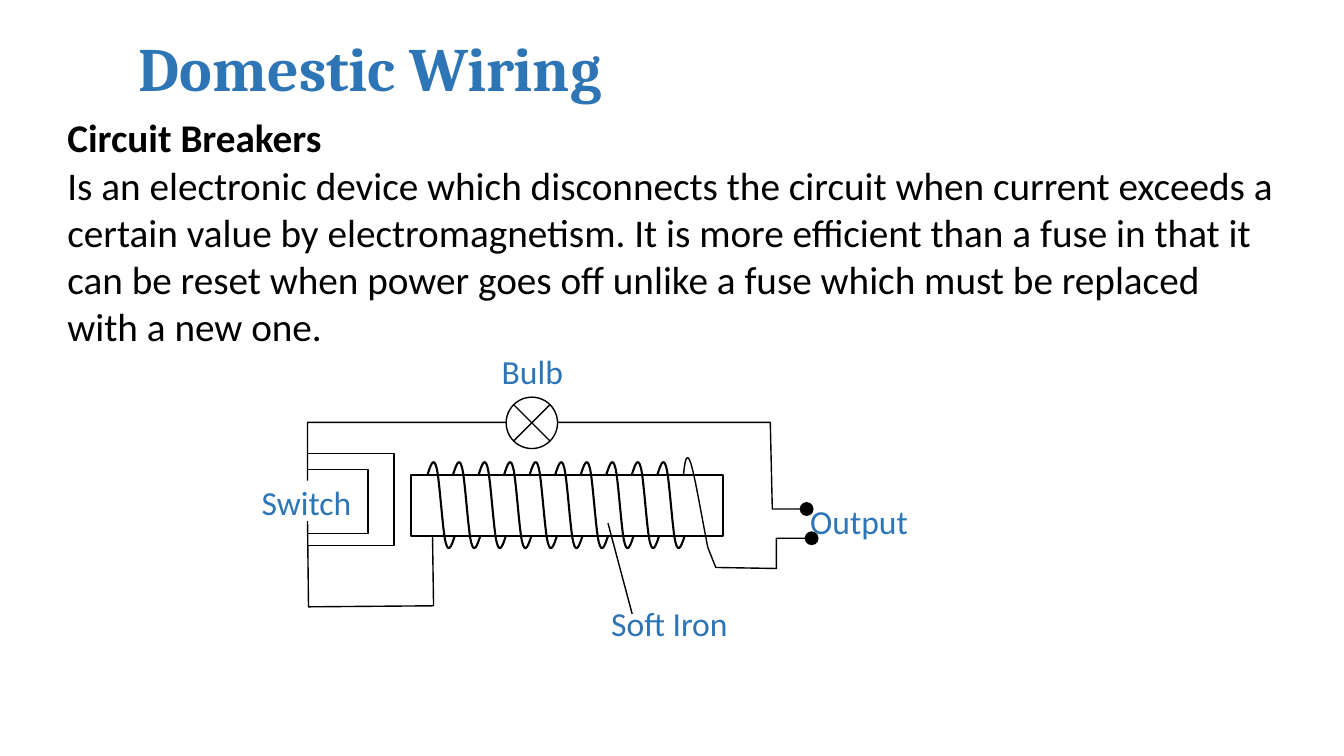
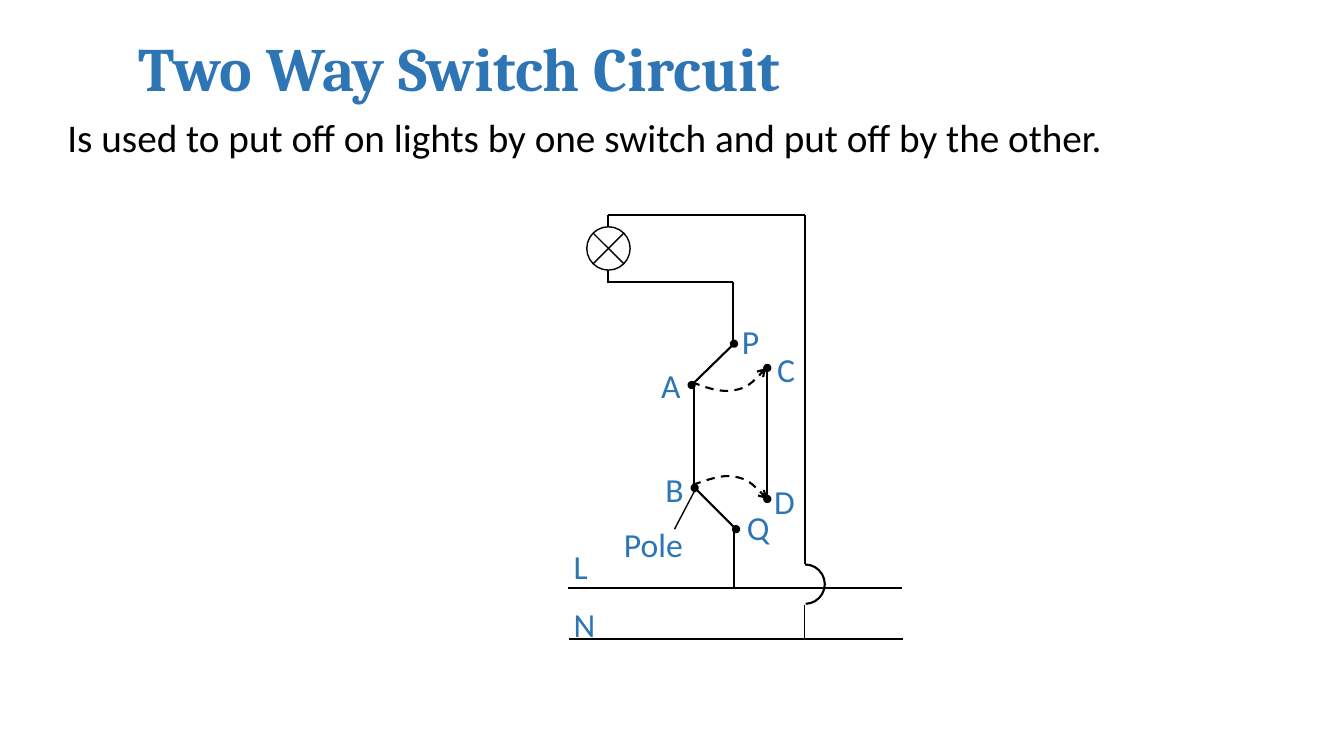
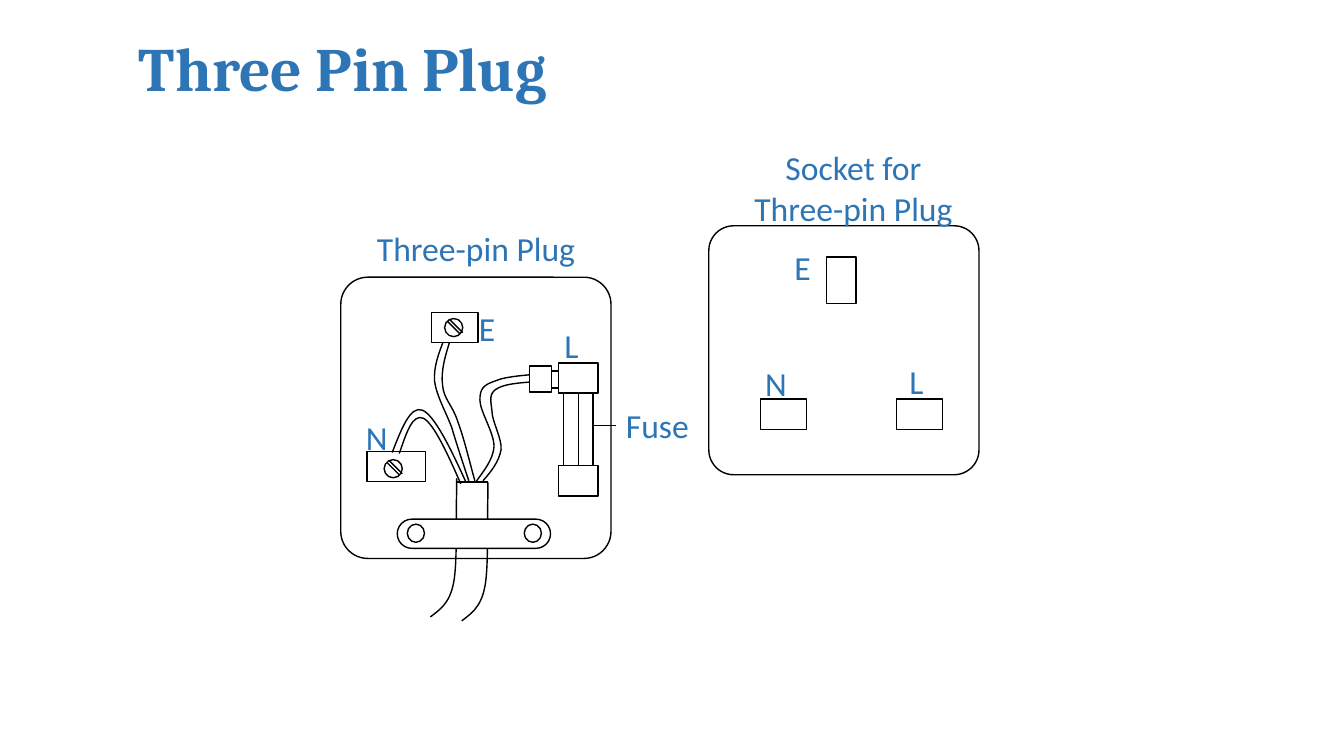
from dataclasses import dataclass
from typing import Any

from lxml.etree import SubElement
from pptx import Presentation
from pptx.dml.color import RGBColor
from pptx.enum.dml import MSO_LINE
from pptx.enum.shapes import MSO_CONNECTOR, MSO_SHAPE
from pptx.enum.text import MSO_ANCHOR, PP_ALIGN
from pptx.oxml.ns import qn
from pptx.util import Inches, Pt

BLUE = "2E75B6"
BLACK = "000000"
WHITE = "FFFFFF"
CURVE_STEPS = 24


def color(hex_text):
    return RGBColor.from_string(hex_text)


def style_line(shape, width, dash=None, head=None, tail=None, end_size="med"):
    shape.line.color.rgb = color(BLACK)
    shape.line.width = Pt(width)
    if dash:
        shape.line.dash_style = dash
    ln = shape.element.spPr.find(qn("a:ln"))
    for tag, kind in (("a:headEnd", head), ("a:tailEnd", tail)):
        if kind:
            end = SubElement(ln, qn(tag))
            end.set("type", kind)
            end.set("w", end_size)
            end.set("len", end_size)


def curve_range(values):
    found = [values[0]]
    for i in range(0, len(values) - 1, 3):
        a, b, c, d = values[i:i + 4]
        for n in range(1, CURVE_STEPS + 1):
            t = n / CURVE_STEPS
            u = 1 - t
            found.append(u ** 3 * a + 3 * u * u * t * b + 3 * u * t * t * c + t ** 3 * d)
    return round(min(found)), round(max(found))


def bend(sp, places):
    left, right = curve_range([px for px, py in places])
    top, bottom = curve_range([py for px, py in places])
    sp.left, sp.top, sp.width, sp.height = left, top, right - left, bottom - top
    outline = next(sp.element.iter(qn("a:path")))
    for child in list(outline):
        outline.remove(child)
    outline.set("w", str(right - left))
    outline.set("h", str(bottom - top))
    steps = [("a:moveTo", places[:1])]
    steps += [("a:cubicBezTo", places[i:i + 3]) for i in range(1, len(places), 3)]
    for tag, points in steps:
        step = SubElement(outline, qn(tag))
        for px, py in points:
            pt = SubElement(step, qn("a:pt"))
            pt.set("x", str(px - left))
            pt.set("y", str(py - top))


@dataclass
class Area:
    s: Any
    x: float = 0
    y: float = 0

    def at(self, x, y):
        return Inches(self.x + x), Inches(self.y + y)

    def text(self, text, x, y, w, h=0.5, size=24, font="Calibri", fill=BLUE, bold=False,
             align=PP_ALIGN.LEFT, anchor=MSO_ANCHOR.TOP, spacing=1.0):
        box = self.s.shapes.add_textbox(*self.at(x, y), Inches(w), Inches(h))
        tf = box.text_frame
        tf.word_wrap = True
        tf.vertical_anchor = anchor
        for i, line in enumerate(text.split("\n")):
            p = tf.add_paragraph() if i else tf.paragraphs[0]
            p.alignment = align
            p.line_spacing = spacing
            r = p.add_run()
            r.text = line
            r.font.name = font
            r.font.size = Pt(size)
            r.font.bold = bold
            r.font.color.rgb = color(fill)
        return box

    def shape(self, kind, x, y, w, h, fill=None, width=1, adj=()):
        sp = self.s.shapes.add_shape(kind, *self.at(x, y), Inches(w), Inches(h))
        sp.shadow.inherit = False
        for i, value in enumerate(adj):
            sp.adjustments[i] = value
        if fill:
            sp.fill.solid()
            sp.fill.fore_color.rgb = color(fill)
        else:
            sp.fill.background()
        style_line(sp, width)
        return sp

    def rect(self, x, y, w, h, fill=None, width=1):
        return self.shape(MSO_SHAPE.RECTANGLE, x, y, w, h, fill, width)

    def lamp(self, x, y, size):
        self.shape(MSO_SHAPE.FLOWCHART_SUMMING_JUNCTION, x, y, size, size, WHITE)

    def line(self, x1, y1, x2, y2, width=1.0, **ends):
        c = self.s.shapes.add_connector(
            MSO_CONNECTOR.STRAIGHT, *self.at(x1, y1), *self.at(x2, y2))
        style_line(c, width, **ends)
        SubElement(c.element.spPr, qn("a:effectLst"))
        return c

    def wire(self, points, width=1.0, close=False, **ends):
        places = [self.at(*point) for point in points]
        builder = self.s.shapes.build_freeform(*places[0])
        builder.add_line_segments(places[1:], close=close)
        sp = builder.convert_to_shape()
        sp.shadow.inherit = False
        sp.fill.background()
        style_line(sp, width, **ends)
        return sp

    def curve(self, points, width=1.0, **ends):
        bend(self.wire(points, width, **ends), [self.at(*point) for point in points])


def new_slide(prs, title):
    s = prs.slides.add_slide(prs.slide_layouts[6])
    Area(s).text(title, 1.28, 0.13, 11.18, 1.17, size=44, font="Cambria", bold=True,
                 anchor=MSO_ANCHOR.MIDDLE, spacing=0.9)
    return s


def body(s, text):
    box = Area(s).text(text, 0.57, 1.08, 12.21, 5.73, size=28, fill=BLACK)
    return box.text_frame.paragraphs


def breaker_circuit(s, x, y):
    a = Area(s, x, y)
    a.rect(1.68, 1.31, 3.09, 0.61, width=1.5)
    turn = [(0, 1.31), (0.03, 1.22), (0.06, 1.12), (0.09, 1.24), (0.12, 1.35),
            (0.15, 1.87), (0.18, 1.98), (0.21, 2.1), (0.24, 2.01), (0.27, 1.92)]
    for i in range(10):
        left = 1.84 + i * 2.28 / 9
        a.curve([(left + dx, dy) for dx, dy in turn], 1.5)
    a.curve([(4.38, 1.31), (4.39, 1.19), (4.41, 1.07), (4.45, 1.19),
             (4.49, 1.31), (4.55, 1.67), (4.62, 2.03)])
    a.wire([(1.89, 1.92), (1.9, 2.61), (0.66, 2.62), (0.65, 1.77)])
    a.wire([(0.65, 1.1), (1.51, 1.1), (1.51, 2.01), (0.65, 2.01),
            (0.65, 1.89), (1.25, 1.89), (1.25, 1.26), (0.65, 1.26)], close=True)
    for lead in ([(0.65, 1.37), (0.65, 0.79), (5.24, 0.79), (5.26, 1.65), (5.6, 1.65)],
                 [(4.62, 2.03), (4.7, 2.23), (5.3, 2.24), (5.3, 1.94), (5.65, 1.94)]):
        a.wire(lead, tail="oval", end_size="lg")
    a.lamp(2.62, 0.54, 0.51)
    a.line(3.63, 1.79, 3.87, 2.69)
    for name, lx, ly, w in (("Switch", 0.03, 1.33, 1.22), ("Output", 5.51, 1.52, 1.22),
                            ("Soft Iron", 3.36, 2.53, 1.76), ("Bulb", 2.27, 0.03, 1.22)):
        a.text(name, lx, ly, w, align=PP_ALIGN.CENTER)


def two_way_circuit(s, x, y):
    a = Area(s, x, y)
    for ends in ((0.43, 0.03, 2.38, 0.03), (2.38, 0.03, 2.38, 3.5),
                 (0.42, 0.7, 1.67, 0.7), (1.67, 0.7, 1.67, 1.29),
                 (1.28, 1.72, 1.28, 2.75),
                 (0.03, 3.73, 3.35, 3.73), (0.04, 4.24, 3.36, 4.24)):
        a.line(*ends, width=1.5)
    for ends in ((0.43, 0.03, 0.43, 0.69), (1.68, 3.15, 1.68, 3.73),
                 (2.38, 3.9, 2.38, 4.24), (1.3, 2.75, 1.09, 3.15)):
        a.line(*ends)
    for contacts in ((1.68, 1.31, 1.26, 1.72), (1.29, 2.74, 1.7, 3.15),
                     (2.01, 1.55, 2.01, 2.85)):
        a.line(*contacts, width=1.5, head="oval", tail="oval")
    a.shape(MSO_SHAPE.ARC, 2.19, 3.5, 0.39, 0.39, width=1.5, adj=(162, 52.88))
    a.lamp(0.22, 0.15, 0.43)
    for throw in ([(1.26, 1.69), (1.41, 1.75), (1.56, 1.8), (1.69, 1.77),
                   (1.81, 1.75), (1.91, 1.65), (2, 1.55)],
                  [(1.27, 2.71), (1.42, 2.66), (1.57, 2.6), (1.69, 2.63),
                   (1.82, 2.65), (1.91, 2.75), (2.01, 2.85)]):
        a.curve(throw, 1.5, dash=MSO_LINE.DASH, tail="arrow")
    for name, lx, ly in (("P", 1.66, 1.03), ("A", 0.86, 1.47), ("C", 2.01, 1.31),
                         ("D", 1.98, 2.62), ("B", 0.9, 2.5), ("L", -0.01, 3.27),
                         ("N", -0.01, 3.84), ("Q", 1.71, 2.88)):
        a.text(name, lx, ly, 0.4)
    a.text("Pole", 0.49, 3.05, 1.17)


def terminal(a, x, y, w, screw_x, screw_y, fill=None):
    a.rect(x, y, w, 0.3, fill)
    screw = Area(a.s, a.x + screw_x, a.y + screw_y)
    screw.shape(MSO_SHAPE.OVAL, 0, 0, 0.18, 0.18)
    screw.line(0.03, 0.03, 0.15, 0.15)
    screw.line(0.05, 0.01, 0.18, 0.14)


def plug_wires(a):
    live = [[(1.41, 2.57), (1.49, 2.48), (1.57, 2.38), (1.59, 2.26), (1.6, 2.15),
             (1.5, 1.98), (1.5, 1.88), (1.49, 1.78), (1.46, 1.7), (1.56, 1.65),
             (1.65, 1.6), (1.86, 1.59), (2.07, 1.58)],
            [(1.34, 2.58), (1.42, 2.47), (1.51, 2.36), (1.52, 2.23), (1.52, 2.09),
             (1.38, 1.88), (1.38, 1.77), (1.38, 1.66), (1.41, 1.62), (1.53, 1.58),
             (1.64, 1.53), (1.87, 1.52), (2.09, 1.5)]]
    earth = [[(1.27, 2.57), (1.21, 2.39), (1.15, 2.21), (1.1, 2.04), (1.04, 1.88),
              (0.95, 1.73), (0.93, 1.58), (0.92, 1.44), (0.97, 1.31), (1.02, 1.18)],
             [(1.33, 2.57), (1.27, 2.35), (1.22, 2.14), (1.16, 1.98), (1.11, 1.82),
              (1.02, 1.76), (1.01, 1.62), (0.99, 1.48), (1.04, 1.32), (1.09, 1.16)]]
    neutral = [[(1.24, 2.58), (1.09, 2.25), (0.93, 1.92), (0.81, 1.87),
                (0.69, 1.82), (0.6, 2.06), (0.51, 2.29)],
               [(1.19, 2.6), (1.06, 2.3), (0.92, 2), (0.82, 1.95),
                (0.71, 1.9), (0.65, 2.1), (0.58, 2.3)]]
    for edge in live + earth + neutral:
        a.curve(edge)


def plug_fuse(a):
    tube = a.rect(2.21, 1.54, 0.29, 0.96)
    a.rect(1.95, 1.48, 0.23, 0.17)
    a.rect(1.87, 1.43, 0.22, 0.26, WHITE)
    top, bottom = [a.rect(2.16, cap_y, 0.39, 0.3, WHITE) for cap_y in (1.4, 2.42)]
    core = a.line(2.35, 1.7, 2.35, 2.42)
    core.begin_connect(top, 2)
    core.end_connect(bottom, 0)
    label = a.text("Fuse", 2.73, 1.77, 0.86)
    leader = a.line(2.5, 2.02, 2.73, 2.02)
    leader.begin_connect(tube, 3)
    leader.end_connect(label, 1)


def plug(s, x, y):
    a = Area(s, x, y)
    a.shape(MSO_SHAPE.ROUNDED_RECTANGLE, 0, 0.55, 2.68, 2.79, adj=(0.1,))
    cable = [(1.2, 3.96), (1.29, 3.89), (1.39, 3.83), (1.43, 3.62), (1.47, 3.42),
             (1.45, 2.89), (1.46, 2.72), (1.46, 2.55), (1.46, 2.58), (1.46, 2.61)]
    for dx, dy in ((0, 0), (-0.31, -0.04)):
        a.curve([(px + dx, py + dy) for px, py in cable])
    a.line(1.15, 2.58, 1.46, 2.58)
    terminal(a, 0.26, 2.28, 0.58, 0.43, 2.36)
    plug_wires(a)
    terminal(a, 0.9, 0.9, 0.46, 1.03, 0.96, WHITE)
    plug_fuse(a)
    a.shape(MSO_SHAPE.ROUNDED_RECTANGLE, 0.56, 2.95, 1.52, 0.29, WHITE, adj=(0.5,))
    for hole_x in (0.66, 1.82):
        a.shape(MSO_SHAPE.OVAL, hole_x, 3, 0.17, 0.18)
    for name, lx, ly in (("N", 0.15, 1.89), ("E", 1.27, 0.81), ("L", 2.12, 0.97)):
        a.text(name, lx, ly, 0.41)
    a.text("Three-pin Plug", 0.26, 0.01, 2.47)


def socket(s, x, y):
    a = Area(s, x, y)
    a.shape(MSO_SHAPE.ROUNDED_RECTANGLE, 0, 0.83, 2.68, 2.47, adj=(0.1,))
    for name, lx, ly, hole in (("N", 0.46, 2.14, (0.51, 2.55, 0.46, 0.3)),
                               ("L", 1.89, 2.12, (1.86, 2.55, 0.46, 0.3)),
                               ("E", 0.75, 0.99, (1.17, 1.14, 0.29, 0.46, WHITE))):
        a.rect(*hole)
        a.text(name, lx, ly, 0.41)
    a.text("Socket for Three-pin Plug", 0.2, 0, 2.47, 0.91, align=PP_ALIGN.CENTER)


def main():
    prs = Presentation()
    prs.slide_width, prs.slide_height = Inches(13.33), Inches(7.5)

    s = new_slide(prs, "Domestic Wiring")
    heading = body(s, "Circuit Breakers\nIs an electronic device which disconnects the circuit "
                      "when current exceeds a certain value by electromagnetism. It is more "
                      "efficient than a fuse in that it can be reset when power goes off unlike "
                      "a fuse which must be replaced with a new one.")[0]
    heading.runs[0].font.bold = True
    breaker_circuit(s, 2.4, 3.4)

    s = new_slide(prs, "Two Way Switch Circuit")
    body(s, "Is used to put off on lights by one switch and put off by the other.")
    two_way_circuit(s, 5.6, 2.1)

    s = new_slide(prs, "Three Pin Plug")
    plug(s, 3.38, 2.2)
    socket(s, 7.03, 1.41)

    prs.save("out.pptx")


if __name__ == "__main__":
    main()
